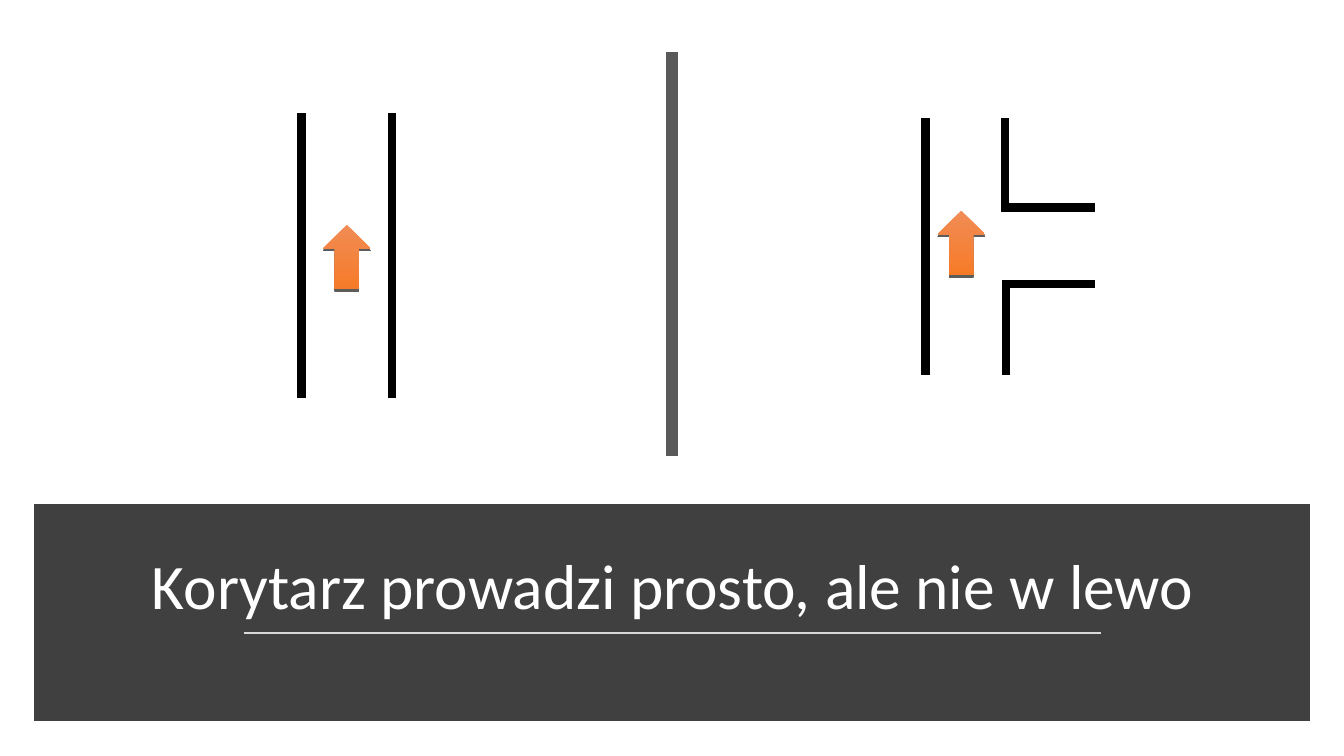
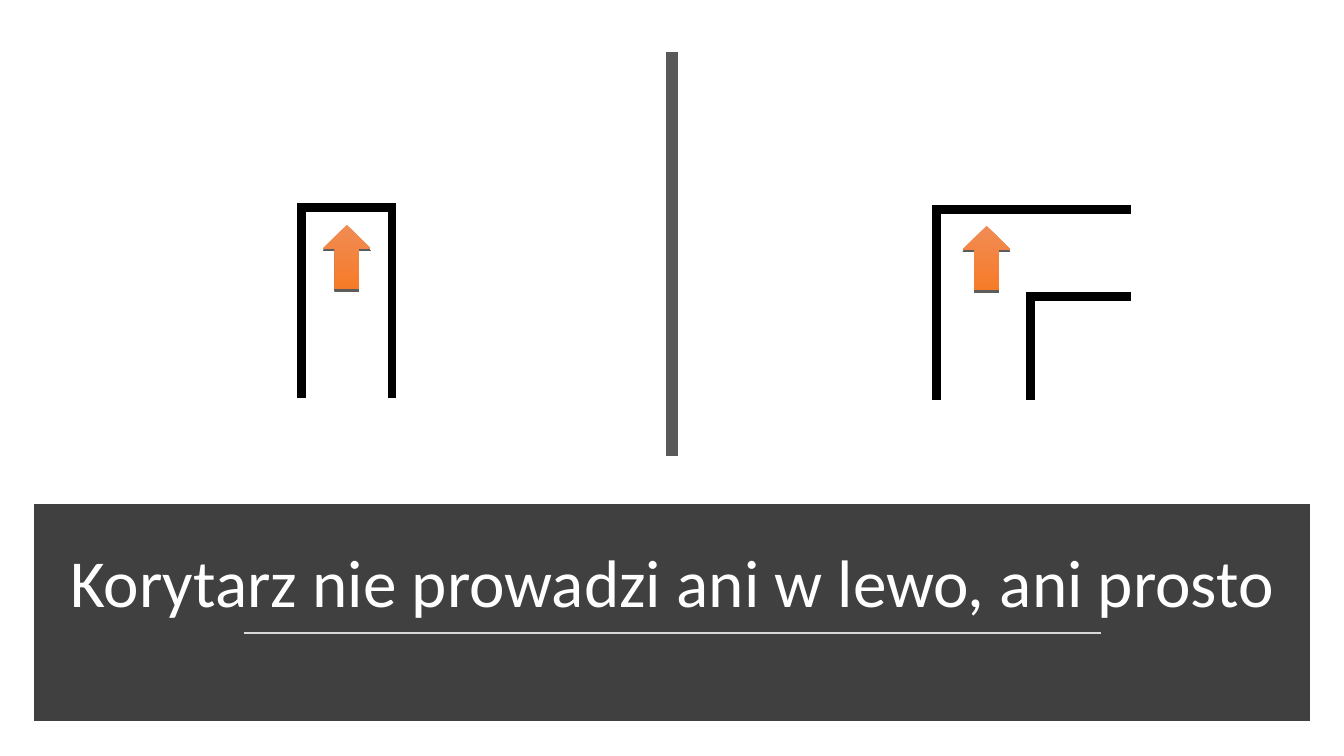
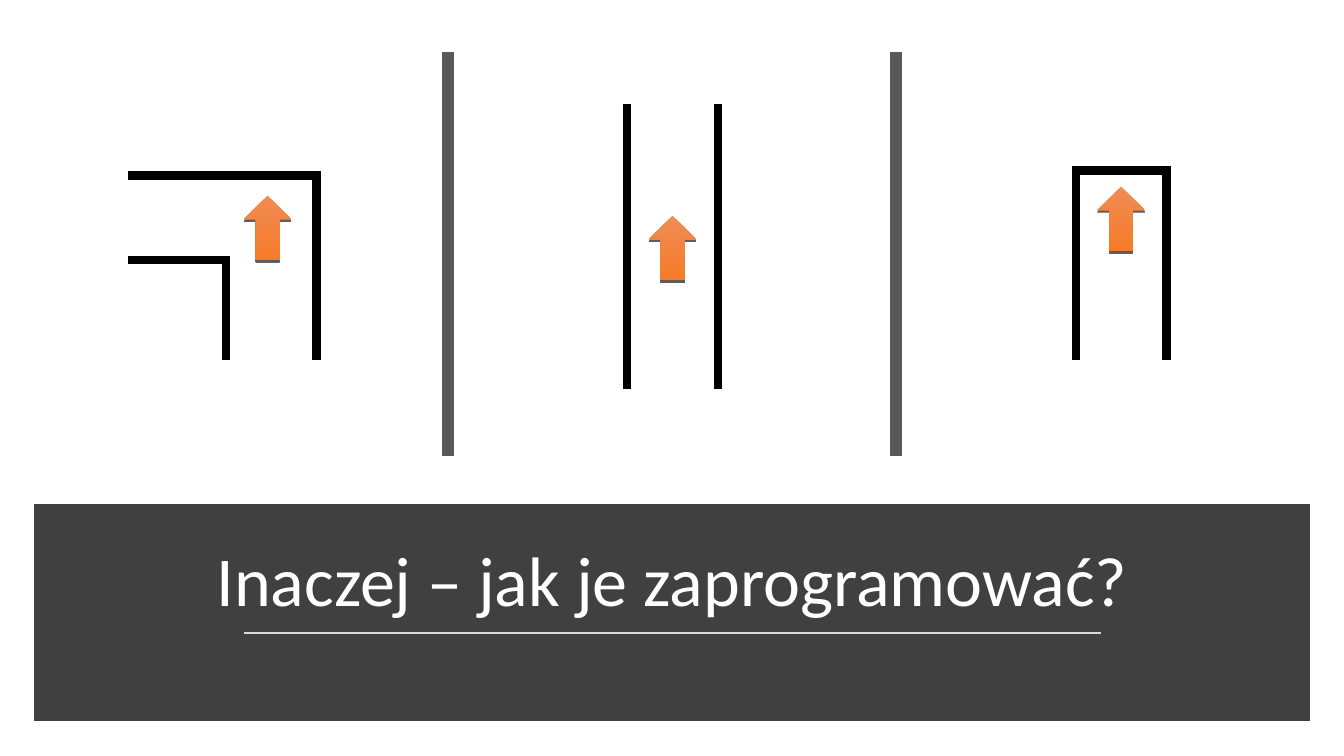
from itertools import pairwise

from pptx import Presentation
from pptx.dml.color import RGBColor
from pptx.enum.shapes import MSO_CONNECTOR as Connector, MSO_SHAPE as Shape
from pptx.enum.text import MSO_ANCHOR as Anchor, PP_ALIGN as Align
from pptx.oxml import parse_xml
from pptx.oxml.ns import nsdecls
from pptx.util import Inches, Pt

WIDTH, HEIGHT = 13.33, 7.5
EFFECTS = f'<a:effectLst {nsdecls("a")}/>'
MITER = f'<a:miter {nsdecls("a")} lim="800000"/>'
ARROW_SHADOW = (
    f'<a:outerShdw {nsdecls("a")} blurRad="0" dist="19050" dir="5400000" algn="ctr" rotWithShape="0">'
    '<a:srgbClr val="000000"><a:alpha val="63000"/></a:srgbClr></a:outerShdw>'
)


def color(value):
    return RGBColor.from_string(value)


def apply(target, values):
    for name, value in values.items():
        setattr(target, name, value)


class MazeDeck:
    BAND, RULE, DIVIDER, WALL = "404040", "D9D9D9", "595959", "000000"
    ARROW_STOPS = ("F18C55", "F67B28")
    ARROW_WIDTH, ARROW_HEIGHT = 0.47, 0.64
    CORRIDOR_WIDTH = 0.9
    ARROW_ABOVE_END = 1.68

    def __init__(self):
        self.deck = Presentation()
        apply(self.deck, {"slide_width": Inches(WIDTH), "slide_height": Inches(HEIGHT)})
        self.page = None

    def add_page(self, title, size, spacing, panels):
        """Start a slide with its title band and the dividers between panels."""
        self.page = self.deck.slides.add_slide(self.deck.slide_layouts[6])
        shapes = self.page.shapes
        self.band()
        self.line(shapes, (2.42, 6.28), (10.92, 6.28), self.RULE, 1.75)
        for index in range(1, panels):
            x = WIDTH * index / panels
            self.line(shapes, (x, 0.52), (x, 4.52), self.DIVIDER, 8)
        self.title(title, size, spacing)

    def band(self):
        box = self.page.shapes.add_shape(
            Shape.RECTANGLE, Inches(0.41), Inches(5.07), Inches(12.51), Inches(2.01))
        box.shadow.inherit = False
        box.fill.solid()
        box.fill.fore_color.rgb = color(self.BAND)
        box.line.color.rgb = color(self.BAND)
        box.line.width = Pt(10)
        box.line._get_or_add_ln().append(parse_xml(MITER))

    def title(self, text, size, spacing):
        box = self.page.shapes.add_textbox(Inches(0.58), Inches(5.2), Inches(12.18), Inches(1.02))
        frame = box.text_frame
        apply(frame, {"word_wrap": True, "vertical_anchor": Anchor.BOTTOM})
        para = frame.paragraphs[0]
        apply(para, {"alignment": Align.CENTER, "line_spacing": spacing})
        span = para.add_run()
        span.text = text
        apply(span.font, {"name": "Calibri", "size": Pt(size)})
        span.font.color.rgb = color("FFFFFF")

    def line(self, shapes, start, end, tint, weight, cap="flat"):
        line = shapes.add_connector(Connector.STRAIGHT, *map(Inches, (*start, *end)))
        line.line.color.rgb = color(tint)
        line.line.width = Pt(weight)
        line.line._get_or_add_ln().set("cap", cap)
        line._element.spPr.append(parse_xml(EFFECTS))

    def arrow(self, shapes, left, top):
        arrow = shapes.add_shape(
            Shape.UP_ARROW, *map(Inches, (left, top, self.ARROW_WIDTH, self.ARROW_HEIGHT)))
        arrow.fill.gradient()
        arrow.fill.gradient_angle = 270
        for stop, tint in zip(arrow.fill.gradient_stops, self.ARROW_STOPS):
            stop.color.rgb = color(tint)
        arrow.line.fill.background()
        arrow.shadow.inherit = False
        arrow._element.spPr.find("{*}effectLst").append(parse_xml(ARROW_SHADOW))

    def maze(self, walls, arrow_left, arrow_top):
        """Group walls, each a list of corner points, with the arrow between them."""
        shapes = self.page.shapes.add_group_shape().shapes
        for wall in walls:
            for start, end in pairwise(wall):
                self.line(shapes, start, end, self.WALL, 6, "sq")
        self.arrow(shapes, arrow_left, arrow_top)

    def corridor(self, left, top, bottom, closed=False):
        """Draw a straight corridor, closed at the top for a dead end."""
        right = left + self.CORRIDOR_WIDTH
        left_wall = [(left, bottom), (left, top)]
        right_wall = [(right, top), (right, bottom)]
        walls = [left_wall + right_wall] if closed else [left_wall, right_wall]
        arrow_left = left + (self.CORRIDOR_WIDTH - self.ARROW_WIDTH) / 2
        self.maze(walls, arrow_left, bottom - self.ARROW_ABOVE_END)


def main():
    maze = MazeDeck()

    # Straight ahead, without a left turn
    maze.add_page("Korytarz prowadzi prosto, ale nie w lewo", 45.3, 0.8, panels=2)
    maze.corridor(2.99, 1.16, 3.91)
    maze.maze([
        [(9.18, 3.68), (9.18, 1.21)],
        [(9.98, 3.68), (9.98, 2.82), (10.82, 2.82)],
        [(9.97, 1.21), (9.97, 2.06), (10.82, 2.06)],
    ], 9.3, 2.09)

    # Neither left nor straight ahead
    maze.add_page("Korytarz nie prowadzi ani w lewo, ani prosto", 48, 0.9, panels=2)
    maze.maze([
        [(9.29, 3.93), (9.29, 2.08), (11.18, 2.08)],
        [(10.22, 3.93), (10.22, 2.94), (11.18, 2.94)],
    ], 9.55, 2.24)
    maze.corridor(2.99, 2.06, 3.91, closed=True)

    # Left turn, straight corridor and dead end
    maze.add_page("Inaczej – jak je zaprogramować?", 50, 0.9, panels=3)
    maze.maze([
        [(3.14, 3.53), (3.14, 1.74), (1.31, 1.74)],
        [(2.24, 3.53), (2.24, 2.58), (1.31, 2.58)],
    ], 2.42, 1.94)
    maze.corridor(6.22, 1.07, 3.82)
    maze.corridor(10.67, 1.69, 3.53, closed=True)

    maze.deck.save("out.pptx")


if __name__ == "__main__":
    main()
